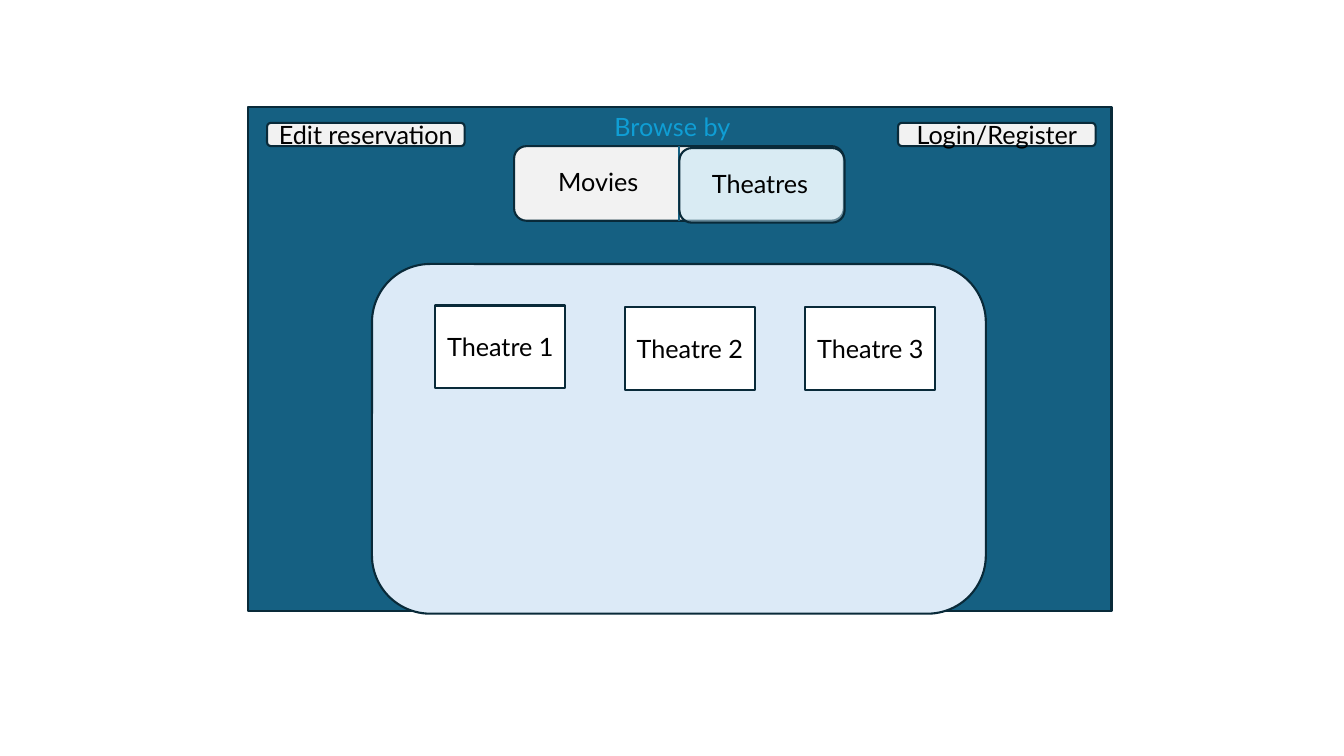
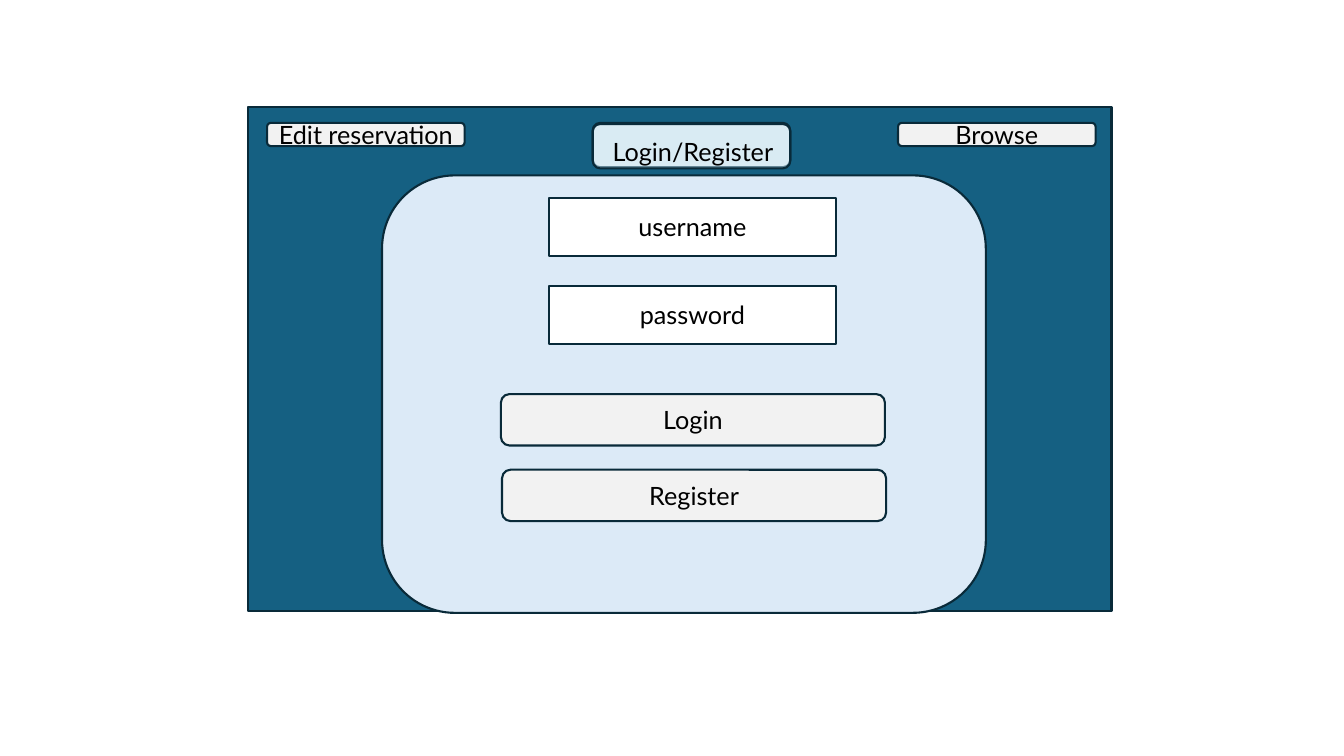
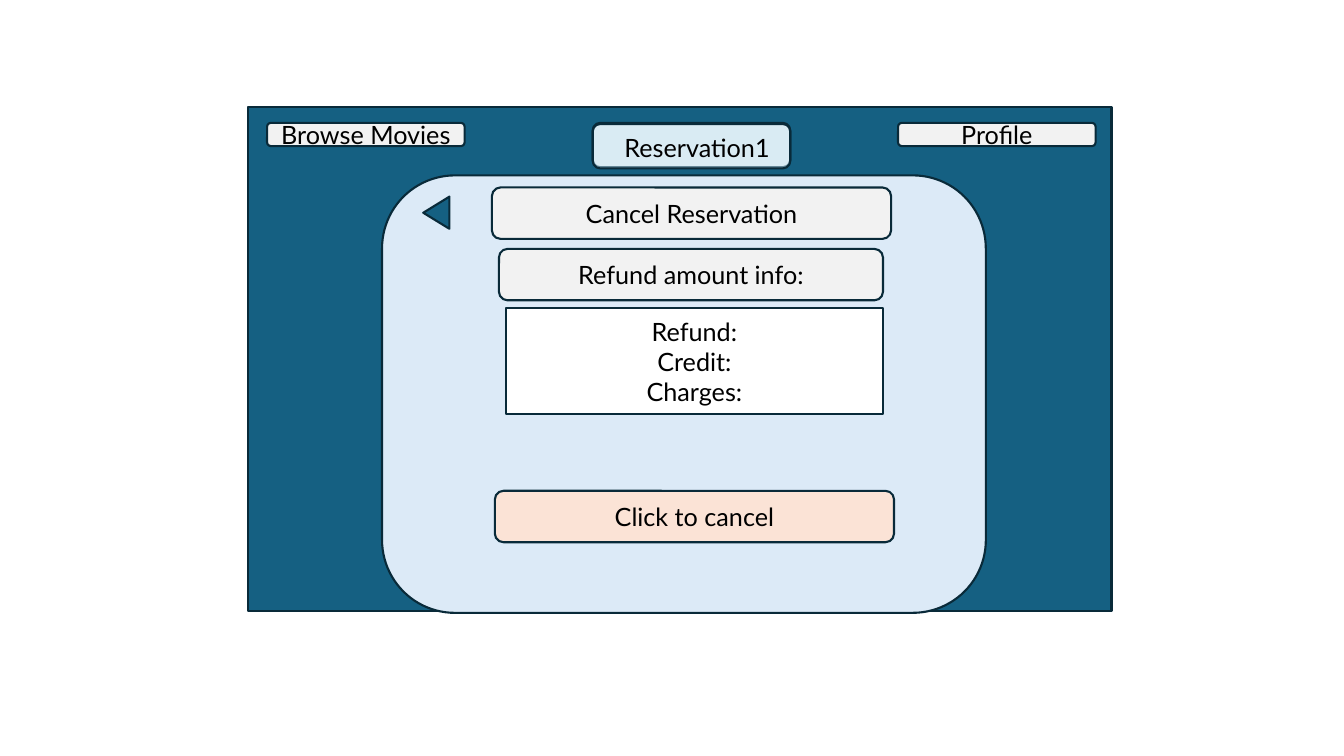
"""Build three wireframe screens of a cinema booking site."""
from dataclasses import dataclass

from lxml.etree import SubElement
from pptx import Presentation
from pptx.dml.color import RGBColor as Rgb
from pptx.enum.shapes import MSO_CONNECTOR as Connector, MSO_SHAPE as Shape
from pptx.enum.text import MSO_AUTO_SIZE as AutoSize, PP_ALIGN as Align
from pptx.oxml.ns import qn
from pptx.util import Pt


@dataclass(frozen=True)
class Theme:
    frame: str = "156082"
    outline: str = "092A39"
    panel: str = "DCEAF7"
    button: str = "F2F2F2"
    active: str = "C1E5F5"
    field: str = "FFFFFF"
    warning: str = "FBE3D6"
    text: str = "000000"
    heading: str = "0F9ED5"
    font: str = "Lato"
    size: int = 18
    stroke: float = 1.5


theme = Theme()


def write(shape, text, color=theme.text):
    shape.text_frame.word_wrap = True
    shape.text_frame.text = text
    for para in shape.text_frame.paragraphs:
        para.alignment = Align.CENTER
        para.font.name = theme.font
        para.font.size = Pt(theme.size)
        para.font.color.rgb = Rgb.from_string(color)


def add_box(shapes, place, fill, text="", kind=Shape.ROUNDED_RECTANGLE, opacity=100):
    box = shapes.add_shape(kind, *map(Pt, place))
    box.shadow.inherit = False
    box.fill.solid()
    box.fill.fore_color.rgb = Rgb.from_string(fill)
    box.line.color.rgb = Rgb.from_string(theme.outline)
    box.line.width = Pt(theme.stroke)
    if opacity < 100:
        color = box.fill._xPr.find(qn("a:solidFill"))[0]
        SubElement(color, qn("a:alpha"), val=str(opacity * 1000))
    if text:
        write(box, text)
    return box


deck = Presentation()
deck.slide_width, deck.slide_height = Pt(960), Pt(540)

frame_place = (177, 76.3, 617, 360)
wide_panel = (265.7, 188.6, 438.5, 249.8)
tall_panel = (272.9, 125.3, 431.3, 312.5)
screens = [
    ("Edit reservation", "Login/Register", wide_panel),
    ("Edit reservation", "Browse", tall_panel),
    ("Browse Movies", "Profile", tall_panel),
]
pages = []
for left_text, right_text, panel_place in screens:
    page = deck.slides.add_slide(deck.slide_layouts[6])
    add_box(page.shapes, frame_place, theme.frame, kind=Shape.RECTANGLE)
    add_box(page.shapes, panel_place, theme.panel)
    for left, text in ((190.8, left_text), (641.5, right_text)):
        add_box(page.shapes, (left, 87.8, 141.1, 16.6), theme.button, text)
    pages.append(page)
browse, login, cancel = pages

toggle = add_box(browse.shapes, (367.2, 104.4, 235.6, 53.3), theme.button)
divider = browse.shapes.add_connector(Connector.STRAIGHT, 0, 0, 0, 0)
divider.begin_connect(toggle, 0)
divider.end_connect(toggle, 2)
divider.line.color.rgb = Rgb.from_string(theme.frame)
divider.line.width = Pt(theme.stroke)
SubElement(divider._element.spPr, qn("a:effectLst"))
add_box(browse.shapes, (485.3, 105.8, 118, 53.3), theme.active, opacity=50)
theatre_corners = [(311, 218.2), (446.4, 219.4), (575.3, 219.4)]
for number, corner in enumerate(theatre_corners, 1):
    add_box(browse.shapes, (*corner, 92.9, 59), theme.field,
            f"Theatre {number}", Shape.RECTANGLE)

for page in (login, cancel):
    tab = page.shapes.add_group_shape()
    add_box(tab.shapes, (423.4, 87.8, 141.1, 31.7), theme.button)
    add_box(tab.shapes, (423.4, 88.6, 141.1, 31.7), theme.active, opacity=50)

labels = [
    (browse, (416.2, 75.6, 128.2), "Browse by", theme.heading),
    (browse, (387.4, 115.2, 80), "Movies", theme.text),
    (browse, (500.4, 116.6, 85), "Theatres", theme.text),
    (login, (420.5, 93.6, 149), "Login/Register", theme.text),
    (cancel, (423.4, 90.7, 149), "Reservation1", theme.text),
]
for page, place, text, color in labels:
    label = page.shapes.add_textbox(*map(Pt, (*place, 29)))
    write(label, text, color)
    label.text_frame.auto_size = AutoSize.SHAPE_TO_FIT_TEXT

for top, text in ((141.1, "username"), (204, "password")):
    add_box(login.shapes, (392.4, top, 204.5, 41.8), theme.field, text, Shape.RECTANGLE)

buttons = [
    (login, (357.8, 281.5, 274.3), theme.button, "Login"),
    (login, (358.6, 335.5, 274.3), theme.button, "Register"),
    (cancel, (351.4, 133.9, 285.1), theme.button, "Cancel Reservation"),
    (cancel, (356.4, 177.8, 274.3), theme.button, "Refund amount info:"),
    (cancel, (353.5, 350.6, 285.1), theme.warning, "Click to cancel"),
]
for page, place, fill, text in buttons:
    add_box(page.shapes, (*place, 36.7), fill, text)

add_box(cancel.shapes, (361.4, 220.3, 269.3, 75.6), theme.field,
        "Refund:\nCredit:\nCharges:", Shape.RECTANGLE)
back_arrow = add_box(cancel.shapes, (300.2, 142.6, 23, 18.7), theme.frame,
                     kind=Shape.ISOSCELES_TRIANGLE)
back_arrow.rotation = 270

deck.save("out.pptx")
